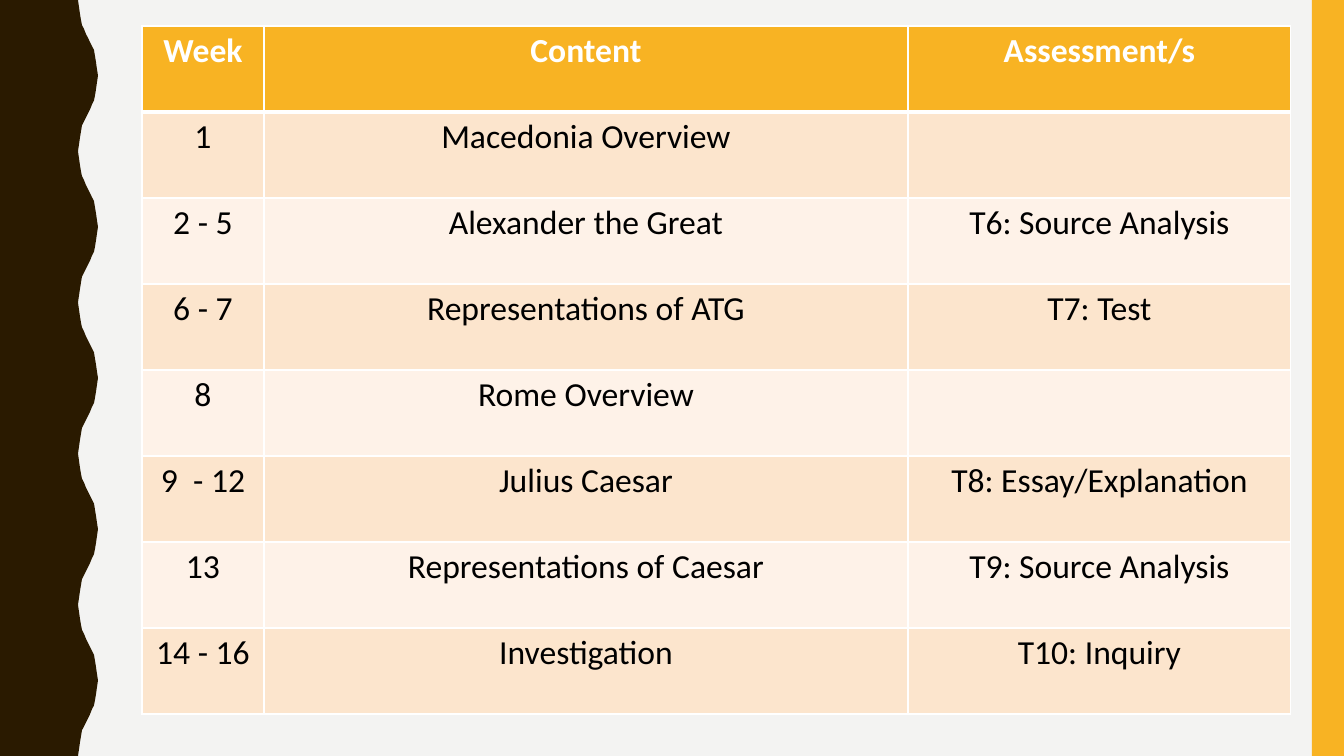
from lxml.etree import SubElement as Sub
from pptx import Presentation
from pptx.dml.color import RGBColor
from pptx.enum.shapes import MSO_SHAPE as Shape
from pptx.enum.text import PP_ALIGN as Align
from pptx.oxml.ns import qn
from pptx.util import Pt

WIDE, HIGH = 1344, 756
SCALE = 914400 / 100.8
GOLD, BROWN, WHITE, BLACK = "F8B323", "2A1A00", "FFFFFF", "000000"
BANDS = ["FCE5CD", "FEF2E8"]

COLS = [122, 644, 383]
ROW = 86
ROWS = [
    ["Week", "Content", "Assessment/s"],
    ["1", "Macedonia Overview", ""],
    ["2 - 5", "Alexander the Great", "T6: Source Analysis"],
    ["6 - 7", "Representations of ATG", "T7: Test"],
    ["8", "Rome Overview", ""],
    ["9  - 12", "Julius Caesar", "T8: Essay/Explanation"],
    ["13", "Representations of Caesar", "T9: Source Analysis"],
    ["14 - 16", "Investigation", "T10: Inquiry"],
]

# One swing of the wave, from its trough to its crest
SWING = 75.6
CURVE = [(78, 0), (79, 7), (80, 14), (81, 20), (82, 25), (84, 29), (86, 34),
         (88, 38), (90, 42), (92, 46), (94, 50), (95, 56), (96, 62), (97, 69)]
TROUGH, CREST = 78, 98


def px(num):
    return round(num * SCALE)


def color(code):
    return RGBColor.from_string(code)


def paint(shape, code):
    shape.shadow.inherit = False
    shape.fill.solid()
    shape.fill.fore_color.rgb = color(code)
    shape.line.fill.background()


def add_wave(slide):
    points = []
    for turn in range(10):
        for x, y in CURVE:
            side = x if turn % 2 == 0 else TROUGH + CREST - x
            points.append((px(side), px(turn * SWING + y)))
    points += [(px(TROUGH), px(HIGH)), (0, px(HIGH))]
    form = slide.shapes.build_freeform(0, 0, scale=1.0)
    form.add_line_segments(points, close=True)
    paint(form.convert_to_shape(), BROWN)


def add_bar(slide, x, y, wide, high, code):
    bar = slide.shapes.add_shape(Shape.RECTANGLE, px(x), px(y), px(wide), px(high))
    paint(bar, code)


def add_edge(cell, side, width):
    line = Sub(cell._tc.get_or_add_tcPr(), qn("a:ln" + side), w=str(Pt(width)))
    fill = Sub(line, qn("a:solidFill"))
    Sub(fill, qn("a:srgbClr"), val=WHITE)


def set_cell(cell, text, row):
    head = row == 0
    # Edges come before the fill; the rule under the header is thick
    for side in "LRTB":
        thick = (side, row) in [("B", 0), ("T", 1)]
        add_edge(cell, side, 3 if thick else 1)
    cell.fill.solid()
    cell.fill.fore_color.rgb = color(GOLD if head else BANDS[(row - 1) % 2])
    cell.text_frame.text = text
    para = cell.text_frame.paragraphs[0]
    para.alignment = Align.CENTER
    for run in para.runs:
        run.font.name = "Calibri"
        run.font.size = Pt(24)
        run.font.bold = head
        run.font.color.rgb = color(WHITE if head else BLACK)


def add_plan(slide, x, y):
    frame = slide.shapes.add_table(len(ROWS), len(COLS), px(x), px(y),
                                   px(sum(COLS)), px(ROW * len(ROWS)))
    table = frame.table
    for col, wide in zip(table.columns, COLS):
        col.width = px(wide)
    for row, texts in enumerate(ROWS):
        table.rows[row].height = px(ROW)
        for col, text in enumerate(texts):
            set_cell(table.cell(row, col), text, row)


def main():
    deck = Presentation()
    deck.slide_width, deck.slide_height = px(WIDE), px(HIGH)
    slide = deck.slides.add_slide(deck.slide_layouts[6])
    back = slide.background.fill
    back.solid()
    back.fore_color.rgb = color("F3F3F2")

    # Side trim
    add_wave(slide)
    add_bar(slide, 1312, 0, 32, HIGH, GOLD)

    # Weekly plan
    add_plan(slide, 142, 26)
    deck.save("out.pptx")


if __name__ == "__main__":
    main()
